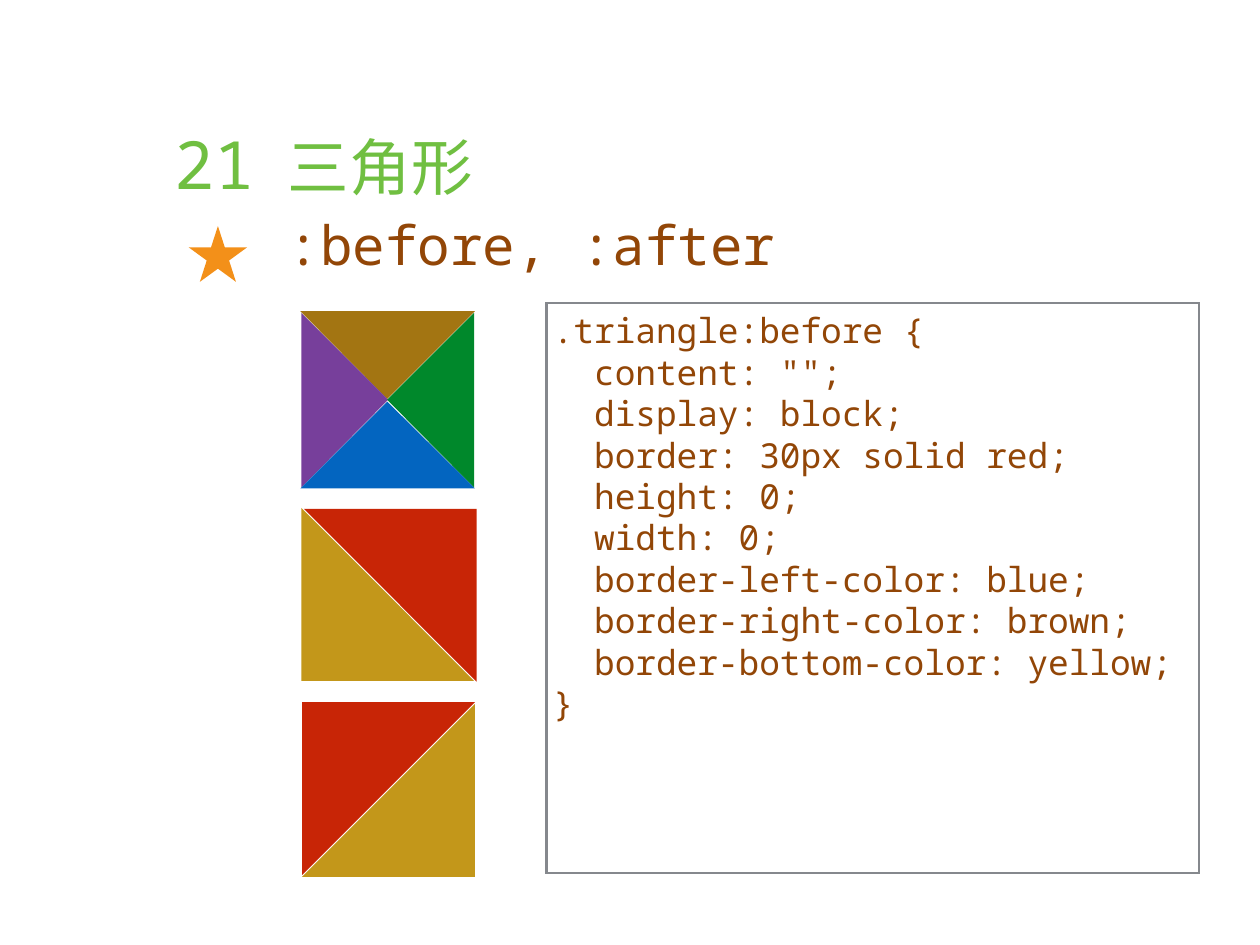
from dataclasses import dataclass

from lxml import etree
from pptx import Presentation
from pptx.dml.color import RGBColor
from pptx.enum.shapes import MSO_SHAPE
from pptx.enum.text import MSO_ANCHOR, PP_ALIGN
from pptx.oxml.ns import qn
from pptx.util import Inches, Pt

RECTANGLE = MSO_SHAPE.RECTANGLE
STAR = MSO_SHAPE.STAR_5_POINT
TOP = MSO_ANCHOR.TOP
LEFT, RIGHT = PP_ALIGN.LEFT, PP_ALIGN.RIGHT

MONO = "Noto Sans Mono"
CJK = "Noto Sans CJK SC"
GREEN, BROWN = "70BF41", "924607"
RED, GOLD = "C82506", "C3971A"

CODE = """.triangle:before {
  content: "";
  display: block;
  border: 30px solid red;
  height: 0;
  width: 0;
  border-left-color: blue;
  border-right-color: brown;
  border-bottom-color: yellow;
}"""


@dataclass(frozen=True)
class Line:
    text: str
    size: float
    font: str
    color: str
    align: PP_ALIGN = LEFT


@dataclass(frozen=True)
class Triangle:
    color: str
    corners: tuple[tuple[float, float], ...]


TRIANGLES = [
    Triangle("A37512", ((3.39, 3.51), (4.37, 4.5), (5.36, 3.51))),
    Triangle("773F9B", ((3.4, 3.53), (4.38, 4.51), (3.4, 5.5))),
    Triangle("00882B", ((5.35, 5.5), (4.37, 4.51), (5.35, 3.53))),
    Triangle("0365C0", ((5.36, 5.51), (4.37, 4.53), (3.39, 5.51))),
    Triangle(GOLD, ((3.4, 5.73), (3.4, 7.68), (5.35, 7.68))),
    Triangle(RED, ((5.38, 7.69), (5.38, 5.74), (3.43, 5.74))),
    Triangle(RED, ((3.41, 9.87), (3.41, 7.92), (5.36, 7.92))),
    Triangle(GOLD, ((5.36, 7.94), (5.36, 9.89), (3.41, 9.89))),
]


def rgb(color: str) -> RGBColor:
    return RGBColor.from_string(color)


def write_lines(frame, lines: list[Line]) -> None:
    frame.word_wrap = True
    for index, line in enumerate(lines):
        paragraph = frame.add_paragraph() if index else frame.paragraphs[0]
        paragraph.alignment = line.align
        run = paragraph.add_run()
        run.text = line.text
        run.font.color.rgb = rgb(line.color)
        for name, value in {"size": Pt(line.size), "name": line.font}.items():
            setattr(run.font, name, value)
        east_asian = etree.SubElement(run.font._element, qn("a:ea"))
        east_asian.set("typeface", line.font)


def set_margins(holder, horizontal: float, vertical: float) -> None:
    margins = {
        "margin_left": horizontal,
        "margin_right": horizontal,
        "margin_top": vertical,
        "margin_bottom": vertical,
    }
    for name, value in margins.items():
        setattr(holder, name, Inches(value))


def paint(shape, color: str) -> None:
    shape.shadow.inherit = False
    shape.fill.solid()
    shape.fill.fore_color.rgb = rgb(color)
    shape.line.fill.background()


def draw_heading(slide) -> None:
    table = slide.shapes.add_table(
        1, 2, Inches(1.29), Inches(1.29), Inches(11.65), Inches(8.08)
    ).table
    for name in ("first_row", "horz_banding"):
        setattr(table, name, False)
    columns = [
        (1.77, [Line("21", 54, MONO, GREEN, RIGHT)]),
        (9.88, [Line("三角形", 50, CJK, GREEN),
                Line(":before, :after", 44, MONO, BROWN)]),
    ]
    for index, (width, lines) in enumerate(columns):
        table.columns[index].width = Inches(width)
        cell = table.cell(0, index)
        cell.fill.background()
        cell.vertical_anchor = TOP
        set_margins(cell, 0.19, 0.05)
        write_lines(cell.text_frame, lines)


def draw_triangle(slide, triangle: Triangle) -> None:
    start, *others = [(Inches(x), Inches(y)) for x, y in triangle.corners]
    builder = slide.shapes.build_freeform(*start)
    builder.add_line_segments(others, close=True)
    paint(builder.convert_to_shape(), triangle.color)


def draw_code(slide) -> None:
    panel = slide.shapes.add_shape(
        RECTANGLE, Inches(6.17), Inches(3.42), Inches(7.36), Inches(6.43)
    )
    panel.shadow.inherit = False
    panel.fill.background()
    panel.line.color.rgb = rgb("85888D")
    panel.line.width = Pt(2)
    outline = panel._element.spPr.find(qn("a:ln"))
    etree.SubElement(outline, qn("a:miter")).set("lim", "400000")
    frame = panel.text_frame
    frame.vertical_anchor = TOP
    set_margins(frame, 0.07, 0.07)
    write_lines(frame, [Line(text, 28, MONO, BROWN)
                        for text in CODE.splitlines()])


def draw_star(slide) -> None:
    star = slide.shapes.add_shape(
        STAR, Inches(2.13), Inches(2.55), Inches(0.66), Inches(0.63)
    )
    paint(star, "F39019")


def main() -> None:
    presentation = Presentation()
    presentation.slide_width = Inches(14.22)
    presentation.slide_height = Inches(10.66)
    slide = presentation.slides.add_slide(presentation.slide_layouts[6])
    draw_heading(slide)
    for triangle in TRIANGLES:
        draw_triangle(slide, triangle)
    draw_code(slide)
    draw_star(slide)
    presentation.save("out.pptx")


if __name__ == "__main__":
    main()
